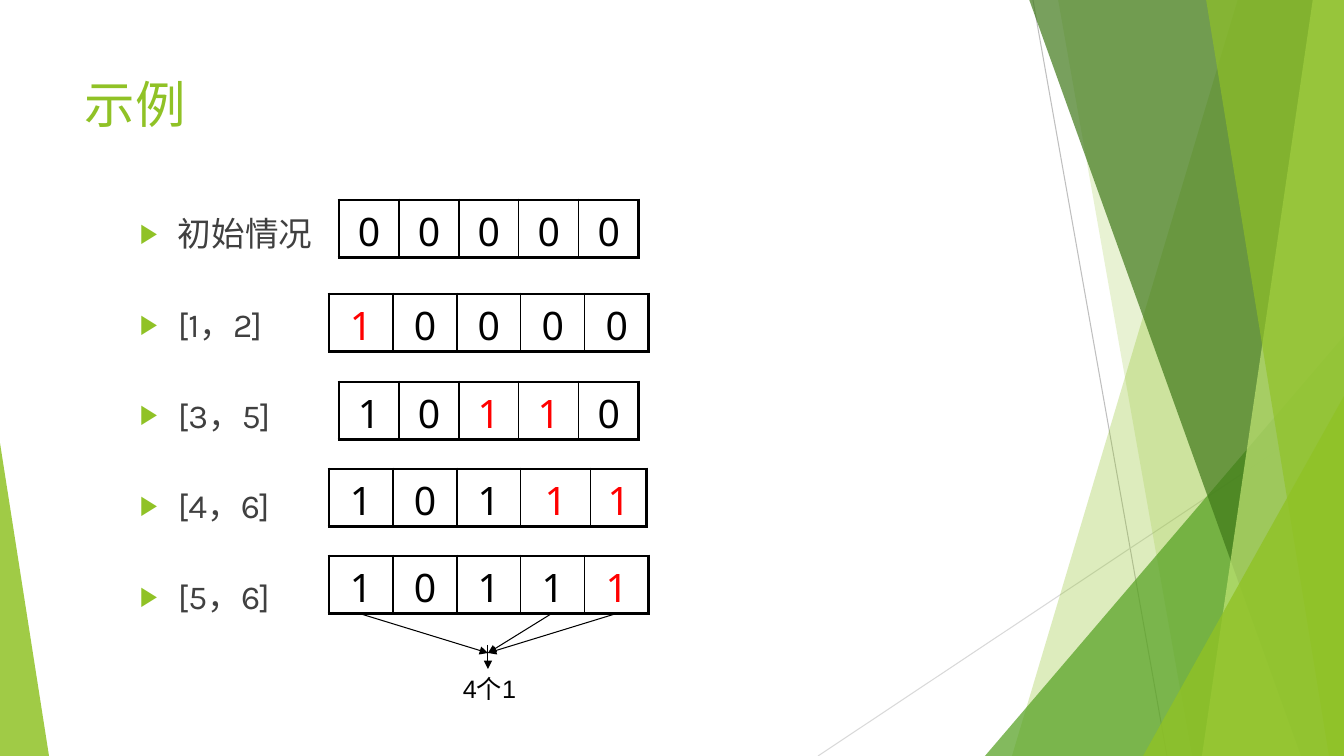
"""Builds the example slide that marks intervals step by step in five-cell arrays."""
import pptx
import pptx.dml.color
import pptx.enum.shapes
import pptx.enum.text
import pptx.oxml.ns
import pptx.oxml.xmlchemy
import pptx.util
from lxml import etree

PX = 914400 / 100.8
COLORS = {
    "lime": "90C226", "green": "54A021", "forest": "3F7819", "pale": "C0E474",
    "grey": "BFBFBF", "light": "D9D9D9", "text": "404040", "black": "000000", "red": "FF0000",
}
qn = pptx.oxml.ns.qn
rgb = {name: pptx.dml.color.RGBColor.from_string(value) for name, value in COLORS.items()}

presentation = pptx.Presentation()
presentation.slide_width = round(1344 * PX)
presentation.slide_height = round(756 * PX)
slide = presentation.slides.add_slide(presentation.slide_layouts[6])


def add_line(ends, color, arrow=False):
    line = slide.shapes.add_connector(
        pptx.enum.shapes.MSO_CONNECTOR.STRAIGHT, *[round(end * PX) for end in ends])
    line.line.color.rgb = rgb[color]
    line.line.width = pptx.util.Pt(0.75)
    if arrow:
        etree.SubElement(line.line._get_or_add_ln(), qn("a:tailEnd"), type="triangle")
    etree.SubElement(line.element.spPr, qn("a:effectLst"))


def add_text(paragraph, text, size, font, color):
    run = paragraph.add_run()
    run.text = text
    run.font.size = pptx.util.Pt(size)
    run.font.name = font
    run.font.color.rgb = rgb[color]


add_line((1033, 0, 1167, 756), "grey")
add_line((1344, 406, 818, 756), "light")

facets = [
    ("band", (1238, 1012), "lime", 30),
    ("band", (1058, 1192), "lime", 20),
    ("triangle", (985, 336, 359, 420, 1), "green", 72),
    ("band", (1029, 1301), "forest", 70),
    ("band", (1313, 1202), "pale", 70),
    ("band", (1206, 1329), "lime", 65),
    ("triangle", (1143, 396, 201, 360, 1), "lime", 80),
    ("triangle", (0, 443, 49, 313, 0), "lime", 85),
]
for kind, geometry, color, opacity in facets:
    if kind == "band":
        top, bottom = geometry
        builder = slide.shapes.build_freeform(top, -1, scale=PX)
        builder.add_line_segments([(1344, -1), (1344, 756), (bottom, 756)], close=True)
        shape = builder.convert_to_shape()
    else:
        *box, apex = geometry
        shape = slide.shapes.add_shape(
            pptx.enum.shapes.MSO_SHAPE.ISOSCELES_TRIANGLE, *[round(side * PX) for side in box])
        shape.adjustments[0] = apex
    shape.shadow.inherit = False
    shape.fill.solid()
    shape.fill.fore_color.rgb = rgb[color]
    fill_color = shape.element.spPr.find(qn("a:solidFill")).find(qn("a:srgbClr"))
    etree.SubElement(fill_color, qn("a:alpha"), val=str(opacity * 1000))
    shape.line.fill.background()

text_boxes = [
    ((75, 68, 948, 72), ["示例"], 36, "Karla", "lime"),
    ((130, 172, 199, 454), ["初始情况", "[1，2]", "[3，5]", "[4，6]", "[5，6]"], 24, "Karla", "text"),
    ((453, 668, 80, 40), ["4个1"], 18, "Arial", "black"),
]
for box, lines, size, font, color in text_boxes:
    frame = slide.shapes.add_textbox(*[round(side * PX) for side in box]).text_frame
    frame.word_wrap = True
    for index, text in enumerate(lines):
        paragraph = frame.add_paragraph() if index else frame.paragraphs[0]
        add_text(paragraph, text, size, font, color)
        if len(lines) > 1:
            paragraph.line_spacing = 1.9
            paragraph.space_before = pptx.util.Pt(10)
            properties = paragraph._p.get_or_add_pPr()
            properties.set("marL", str(round(38 * PX)))
            properties.set("indent", str(round(-38 * PX)))
            bullet_color = etree.SubElement(properties, qn("a:buClr"))
            etree.SubElement(bullet_color, qn("a:srgbClr"), val=COLORS["lime"])
            etree.SubElement(properties, qn("a:buSzPct"), val="80000")
            etree.SubElement(properties, qn("a:buFont"), typeface="Arial")
            etree.SubElement(properties, qn("a:buChar"), char="▶")

arrays = [
    (339, 200, [60] * 5, "00000", ()),
    (329, 294, [64] * 5, "10000", (0,)),
    (339, 382, [60] * 5, "10110", (2, 3)),
    (329, 469, [64, 64, 64, 70, 56], "10111", (3, 4)),
    (329, 556, [64] * 5, "10111", (4,)),
]
for left, top, widths, digits, marked in arrays:
    table = slide.shapes.add_table(
        1, 5, round(left * PX), round(top * PX), round(sum(widths) * PX), round(57 * PX)).table
    table.first_row = False
    table.horz_banding = False
    for index, (width, digit) in enumerate(zip(widths, digits)):
        table.columns[index].width = round(width * PX)
        cell = table.cell(0, index)
        paragraph = cell.text_frame.paragraphs[0]
        paragraph.alignment = pptx.enum.text.PP_ALIGN.CENTER
        add_text(paragraph, digit, 28, "Noto Sans", "red" if index in marked else "black")
        borders = {"L": 2.25 if index == 0 else 1, "R": 2.25 if index == 4 else 1, "T": 2.25, "B": 2.25}
        for side, points in borders.items():
            border = etree.SubElement(
                cell._tc.get_or_add_tcPr(), qn("a:ln" + side), w=str(pptx.util.Pt(points)))
            border_fill = etree.SubElement(border, qn("a:solidFill"))
            etree.SubElement(border_fill, qn("a:srgbClr"), val=COLORS["black"])
        cell.fill.background()

for ends in [(361, 614, 488, 653), (488, 645, 488, 669), (551, 614, 488, 653), (615, 614, 488, 653)]:
    add_line(ends, "black", arrow=True)

presentation.save("out.pptx")
